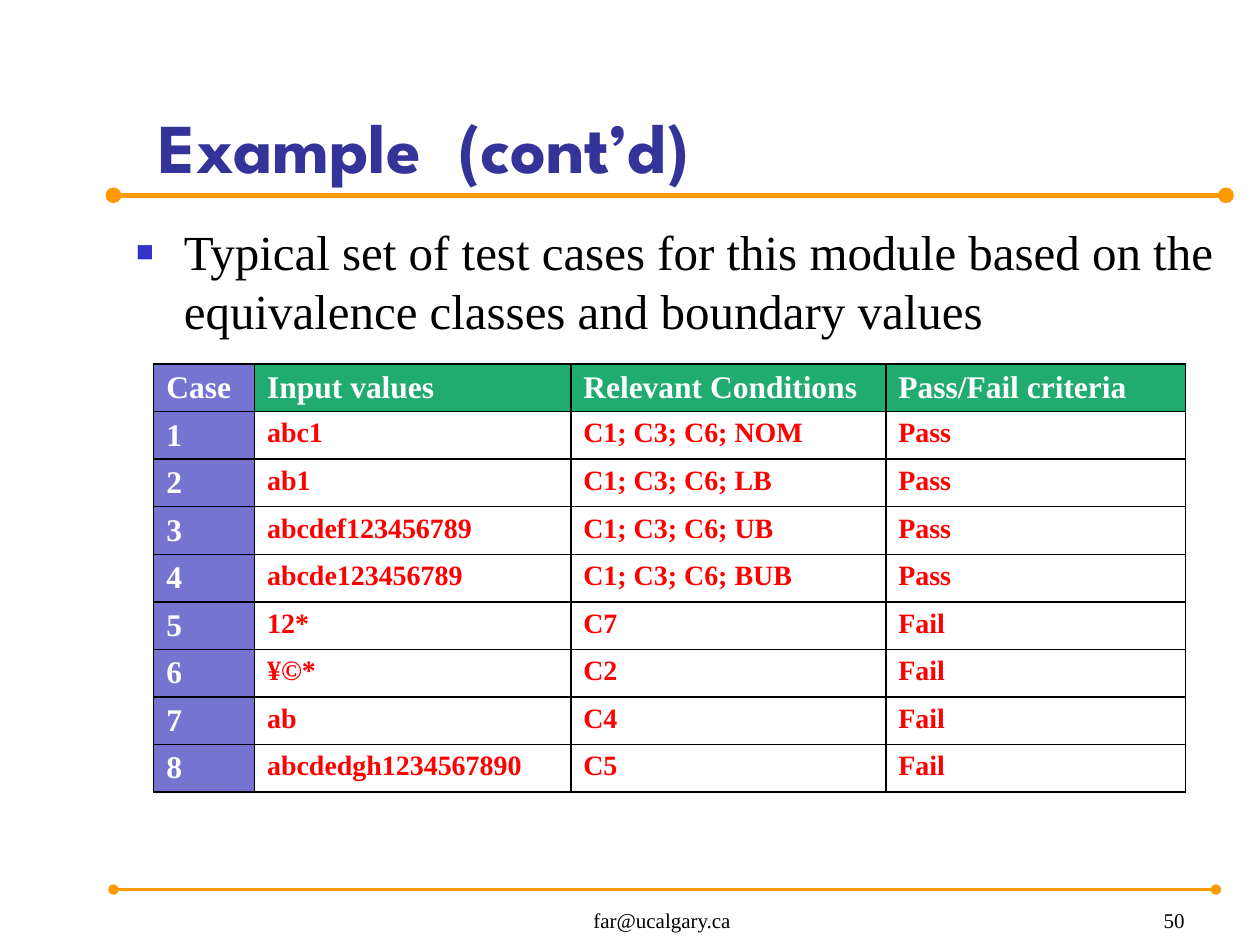
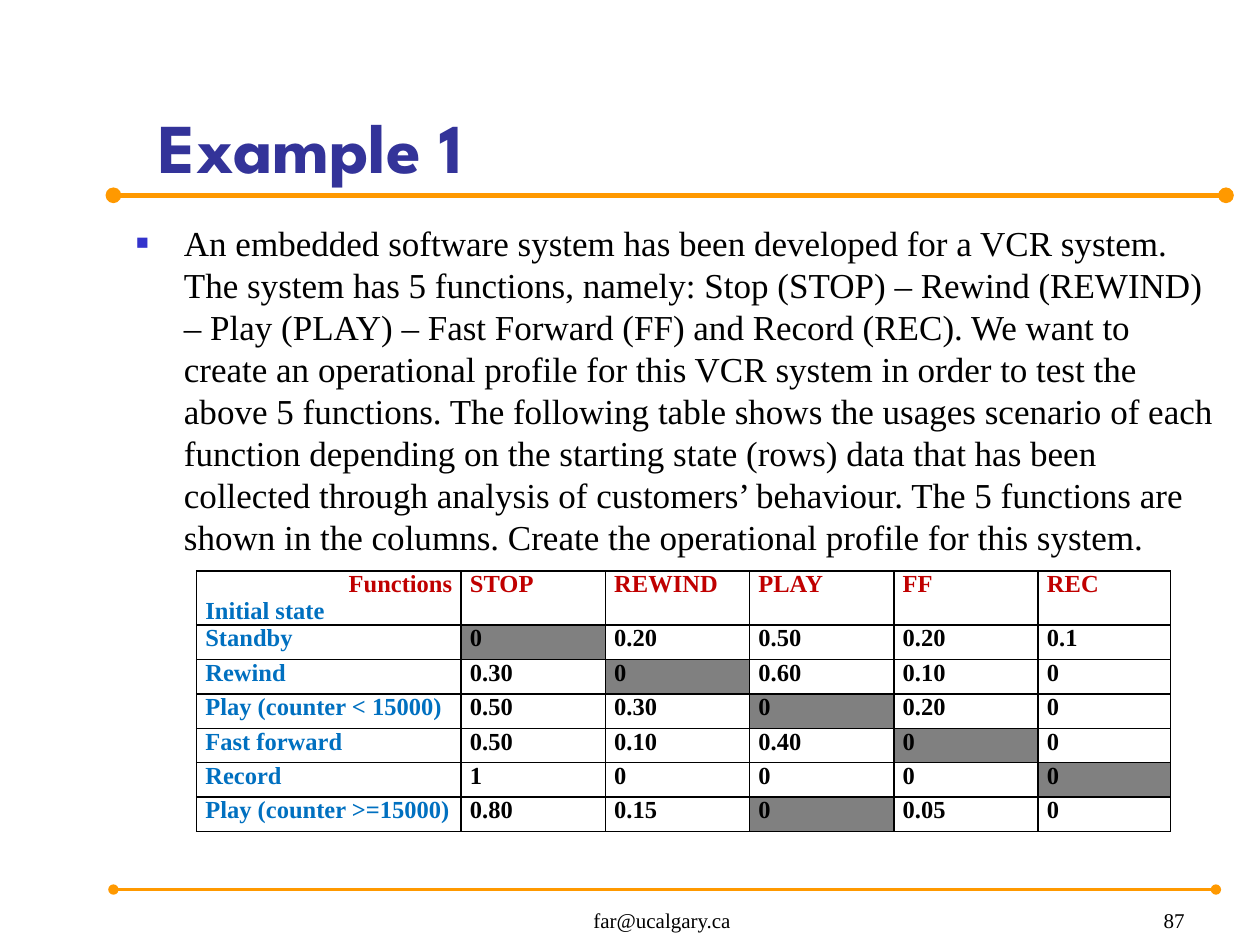
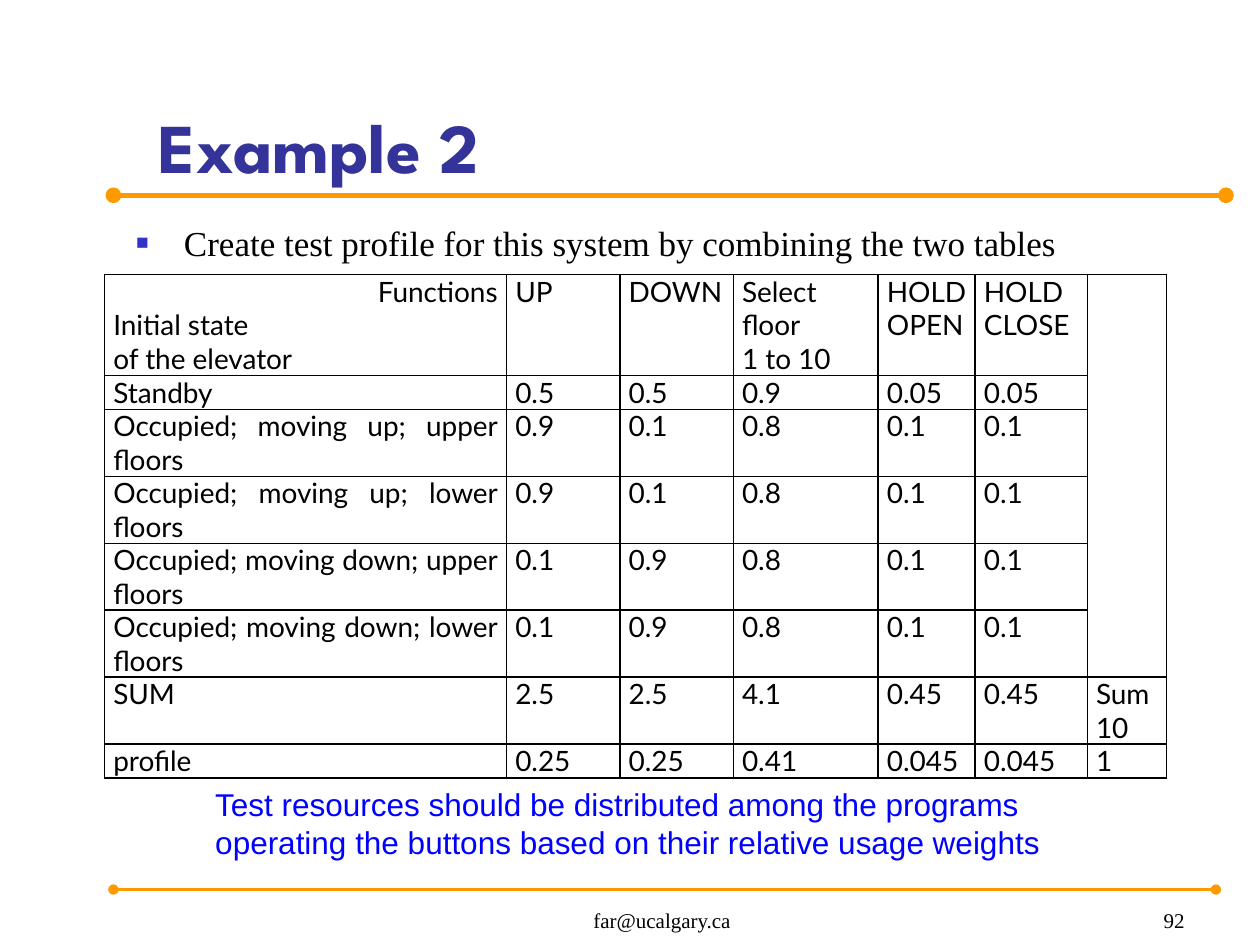
from lxml import etree
from pptx import Presentation
from pptx.dml.color import RGBColor
from pptx.enum.shapes import MSO_CONNECTOR
from pptx.enum.text import MSO_ANCHOR, MSO_AUTO_SIZE, PP_ALIGN
from pptx.oxml.ns import qn
from pptx.util import Inches, Pt

ORANGE = RGBColor(0xFF, 0x99, 0x00)
NAVY = RGBColor(0x33, 0x33, 0x99)
BLUE = RGBColor(0x00, 0x00, 0xFF)
SKY = RGBColor(0x00, 0x70, 0xC0)
VIOLET = RGBColor(0x75, 0x75, 0xD1)
GREEN = RGBColor(0x20, 0xAC, 0x6F)
RED = RGBColor(0xFF, 0x00, 0x00)
CRIMSON = RGBColor(0xC0, 0x00, 0x00)
GRAY = RGBColor(0x80, 0x80, 0x80)
BLACK = RGBColor(0x00, 0x00, 0x00)
WHITE = RGBColor(0xFF, 0xFF, 0xFF)

SERIF = "Times New Roman"
SANS = "Arial"
HEAD = "League Spartan"
GRID = "Lato"

LEFT, CENTER, RIGHT = PP_ALIGN.LEFT, PP_ALIGN.CENTER, PP_ALIGN.RIGHT
JUSTIFY = PP_ALIGN.JUSTIFY
BOTTOM, TOP = MSO_ANCHOR.BOTTOM, MSO_ANCHOR.TOP
FIXED = MSO_AUTO_SIZE.NONE
STRAIGHT = MSO_CONNECTOR.STRAIGHT

CASES = [
    ["Case", "Input values", "Relevant Conditions", "Pass/Fail criteria"],
    ["1", "abc1", "C1; C3; C6; NOM", "Pass"],
    ["2", "ab1", "C1; C3; C6; LB", "Pass"],
    ["3", "abcdef123456789", "C1; C3; C6; UB", "Pass"],
    ["4", "abcde123456789", "C1; C3; C6; BUB", "Pass"],
    ["5", "12*", "C7", "Fail"],
    ["6", "¥©*", "C2", "Fail"],
    ["7", "ab", "C4", "Fail"],
    ["8", "abcdedgh1234567890", "C5", "Fail"],
]
USAGE = [
    ["Functions\nInitial state", "STOP", "REWIND", "PLAY", "FF", "REC"],
    ["Standby", "0", "0.20", "0.50", "0.20", "0.1"],
    ["Rewind", "0.30", "0", "0.60", "0.10", "0"],
    ["Play (counter < 15000)", "0.50", "0.30", "0", "0.20", "0"],
    ["Fast forward", "0.50", "0.10", "0.40", "0", "0"],
    ["Record", "1", "0", "0", "0", "0"],
    ["Play (counter >=15000)", "0.80", "0.15", "0", "0.05", "0"],
]
SHADED = {(1, 1), (2, 2), (3, 3), (4, 4), (5, 5), (6, 3)}
LIFT = [
    ["Functions\nInitial state\nof the elevator", "UP", "DOWN",
     "Select floor\n1 to 10", "HOLD OPEN", "HOLD CLOSE", ""],
    ["Standby", "0.5", "0.5", "0.9", "0.05", "0.05", ""],
    ["Occupied; moving up; upper floors", "0.9", "0.1", "0.8", "0.1", "0.1", ""],
    ["Occupied; moving up; lower floors", "0.9", "0.1", "0.8", "0.1", "0.1", ""],
    ["Occupied; moving down; upper floors", "0.1", "0.9", "0.8", "0.1", "0.1", ""],
    ["Occupied; moving down; lower floors", "0.1", "0.9", "0.8", "0.1", "0.1", ""],
    ["SUM", "2.5", "2.5", "4.1", "0.45", "0.45", "Sum\n10"],
    ["profile", "0.25", "0.25", "0.41", "0.045", "0.045", "1"],
]
TASK = (
    "An embedded software system has been developed for a VCR system. "
    "The system has 5 functions, namely: Stop (STOP) – Rewind (REWIND) – "
    "Play (PLAY) – Fast Forward (FF) and Record (REC). We want to create an "
    "operational profile for this VCR system in order to test the above 5 "
    "functions. The following table shows the usages scenario of each function "
    "depending on the starting state (rows) data that has been collected "
    "through analysis of customers’ behaviour. The 5 functions are shown in "
    "the columns. Create the operational profile for this system."
)


def add_node(parent, tag, **attrs):
    node = etree.SubElement(parent, qn(tag))
    for key, value in attrs.items():
        node.set(key, value)
    return node


def set_font(para, name, size, color, bold=False):
    font = para.font
    font.name = name
    font.size = Pt(size)
    font.color.rgb = color
    font.bold = bold


def place(shape, box):
    shape.left, shape.top, shape.width, shape.height = map(Inches, box)


def fill_text(shape, text, align, anchor):
    frame = shape.text_frame
    frame.text = text
    frame.word_wrap = True
    frame.auto_size = FIXED
    frame.vertical_anchor = anchor
    para = frame.paragraphs[0]
    para.alignment = align
    return para


def add_rule(slide, end, y, width):
    rule = slide.shapes.add_connector(
        STRAIGHT, Inches(0.9), Inches(y), Inches(end), Inches(y))
    rule.line.color.rgb = ORANGE
    rule.line.width = Pt(width)
    props = rule._element.spPr
    line = props.find(qn("a:ln"))
    add_node(line, "a:headEnd", type="oval")
    add_node(line, "a:tailEnd", type="oval")
    add_node(props, "a:effectLst")


def add_text(slide, box, text, name, size, color, align=LEFT, anchor=TOP):
    shape = slide.shapes.add_textbox(*map(Inches, box))
    para = fill_text(shape, text, align, anchor)
    set_font(para, name, size, color)


def add_body(slide, high, text, size):
    body = slide.placeholders[1]
    place(body, (0.98, 1.71, 8.77, high))
    para = fill_text(body, text, LEFT, TOP)
    props = para._p.get_or_add_pPr()
    props.set("marL", str(Inches(0.38)))
    props.set("indent", str(Inches(-0.38)))
    add_node(add_node(props, "a:buClr"), "a:srgbClr", val="3333CC")
    add_node(props, "a:buSzPct", val="60000")
    add_node(props, "a:buFont", typeface=SANS)
    add_node(props, "a:buChar", char="■")
    para.space_before = Pt(0)
    set_font(para, SERIF, size, BLACK)


def add_slide(deck, title, page, high, text, size):
    slide = deck.slides.add_slide(deck.slide_layouts[1])
    add_rule(slide, 9.73, 1.55, 3)
    add_rule(slide, 9.65, 7.06, 1.5)
    place(slide.shapes.title, (1.16, 0.29, 8.61, 1.25))
    para = fill_text(slide.shapes.title, title, LEFT, BOTTOM)
    set_font(para, HEAD, 40, NAVY, True)
    add_body(slide, high, text, size)
    add_text(slide, (3.67, 7.01, 3.17, 0.44), "far@ucalgary.ca",
             SERIF, 12, BLACK, CENTER, BOTTOM)
    add_text(slide, (7.42, 7.01, 2.08, 0.44), page,
             SERIF, 12, BLACK, RIGHT, BOTTOM)
    return slide


def add_border(cell):
    props = cell._tc.get_or_add_tcPr()
    for spot, side in enumerate(("a:lnL", "a:lnR", "a:lnT", "a:lnB")):
        line = etree.Element(qn(side), w=str(Pt(1)))
        add_node(add_node(line, "a:solidFill"), "a:srgbClr", val="000000")
        props.insert(spot, line)


def fill_cell(cell, text, name, align, look):
    size, color, bold, fill = look
    cell.text = text
    for para in cell.text_frame.paragraphs:
        para.alignment = align
        set_font(para, name, size, color, bold)
    if fill is None:
        cell.fill.background()
    else:
        cell.fill.solid()
        cell.fill.fore_color.rgb = fill
    add_border(cell)


def add_grid(slide, spot, cols, highs, rows, name, style, align, pad):
    box = (*spot, sum(cols), sum(highs))
    grid = slide.shapes.add_table(
        len(rows), len(cols), *map(Inches, box)).table
    for col, width in zip(grid.columns, cols):
        col.width = Inches(width)
    for row, high in zip(grid.rows, highs):
        row.height = Inches(high)
    for r, row in enumerate(rows):
        for c, text in enumerate(row):
            cell = grid.cell(r, c)
            cell.margin_left = cell.margin_right = Inches(pad[0])
            cell.margin_top = cell.margin_bottom = Inches(pad[1])
            fill_cell(cell, text, name, align, style(r, c))
    return grid


def case_style(r, c):
    if c == 0:
        return 18, WHITE, True, VIOLET
    if r == 0:
        return 18, WHITE, True, GREEN
    return 16, RED, True, None


def usage_style(r, c):
    if c == 0:
        return 14, SKY, True, None
    if r == 0:
        return 14, CRIMSON, True, None
    return 14, BLACK, True, GRAY if (r, c) in SHADED else None


def lift_style(r, c):
    return 16, BLACK, False, None


def add_cases(deck):
    slide = add_slide(
        deck, "Example  (cont’d)", "50", 1.41,
        "Typical set of test cases for this module based on the "
        "equivalence classes and boundary values", 28)
    add_grid(slide, (1.22, 2.89), [0.8, 2.51, 2.5, 2.38], [0.37] * 9,
             CASES, SERIF, case_style, LEFT, (0.1, 0.05))


def add_usage(deck):
    slide = add_slide(deck, "Example 1", "87", 4.96, TASK, 20)
    grid = add_grid(slide, (1.56, 4.53), [2.1] + [4.58 / 4] * 4 + [1.05],
                    [0.43] + [1.64 / 6] * 6, USAGE, SERIF, usage_style,
                    JUSTIFY, (0.07, 0))
    para = grid.cell(0, 0).text_frame.paragraphs[0]
    para.alignment = RIGHT
    para.font.color.rgb = CRIMSON


def add_lift(deck):
    slide = add_slide(
        deck, "Example 2", "92", 0.63,
        "Create test profile for this system by combining the two tables", 20)
    grid = add_grid(slide, (0.83, 2.18),
                    [3.19, 0.9, 0.9, 1.15, 0.77, 0.89, 0.63],
                    [0.8, 0.27] + [0.53] * 5 + [0.27], LIFT, GRID,
                    lift_style, JUSTIFY, (0.07, 0))
    grid.cell(0, 0).text_frame.paragraphs[0].alignment = RIGHT
    grid.cell(0, 6).merge(grid.cell(5, 6))
    add_text(
        slide, (1.61, 6.18, 7.65, 0.71),
        "Test resources should be distributed among the programs "
        "operating the buttons based on their relative usage weights",
        SANS, 18, BLUE)


def main():
    deck = Presentation()
    deck.slide_width, deck.slide_height = Inches(10), Inches(7.5)
    add_cases(deck)
    add_usage(deck)
    add_lift(deck)
    deck.save("out.pptx")


if __name__ == "__main__":
    main()
